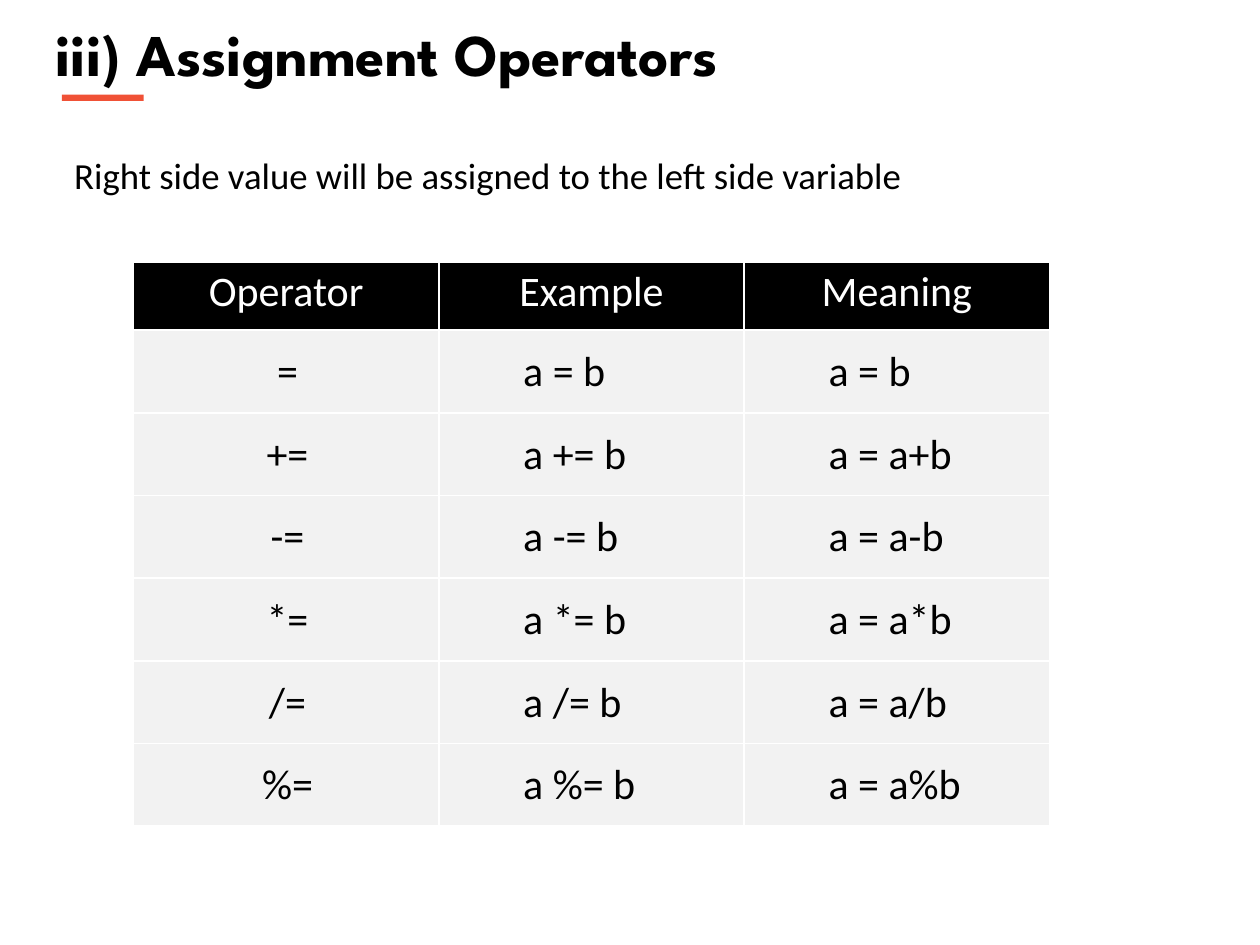
from dataclasses import dataclass

from lxml.etree import SubElement
from pptx import Presentation
from pptx.dml.color import RGBColor as Color
from pptx.enum.shapes import MSO_SHAPE as Shape
from pptx.enum.text import MSO_ANCHOR as Anchor, MSO_AUTO_SIZE as Fit, PP_ALIGN as Align
from pptx.oxml.ns import qn
from pptx.util import Inches, Pt


@dataclass(frozen=True)
class Theme:
    black: str = "000000"
    white: str = "FFFFFF"
    pale: str = "F2F2F2"
    accent: str = "F05136"
    head: str = "League Spartan"
    body: str = "Calibri"
    title: float = 33.8
    note: float = 21
    cell: float = 24
    rule: float = 1


THEME = Theme()

HEADS = ["Operator", "Example", "Meaning"]
ROWS = [
    ["=", "a = b", "a = b"],
    ["+=", "a += b", "a = a+b"],
    ["-=", "a -= b", "a = a-b"],
    ["*=", "a *= b", "a = a*b"],
    ["/=", "a /= b", "a = a/b"],
    ["%=", "a %= b", "a = a%b"],
]


def add_text(para, text, size, face=THEME.body, color=THEME.black, bold=False):
    run = para.add_run()
    run.text = text
    font = run.font
    font.name, font.size, font.bold = face, Pt(size), bold
    font.color.rgb = Color.from_string(color)


def set_pads(cell, pads):
    sides = [Inches(pad) for pad in pads]
    cell.margin_left, cell.margin_top, cell.margin_right, cell.margin_bottom = sides


def add_lines(cell):
    props = cell._tc.get_or_add_tcPr()
    for side in ("lnL", "lnR", "lnT", "lnB"):
        line = SubElement(props, qn(f"a:{side}"), w=str(Pt(THEME.rule)))
        fill = SubElement(line, qn("a:solidFill"))
        SubElement(fill, qn("a:srgbClr"), val=THEME.white)


def add_title(slide, box, text):
    title = slide.shapes.title
    title.left, title.top, title.width, title.height = map(Inches, box)
    frame = title.text_frame
    frame.word_wrap = True
    frame.auto_size = Fit.NONE
    frame.vertical_anchor = Anchor.TOP
    para = frame.paragraphs[0]
    para.alignment = Align.LEFT
    add_text(para, text, THEME.title, THEME.head, bold=True)


def add_bar(slide, box):
    bar = slide.shapes.add_shape(Shape.RECTANGLE, *map(Inches, box))
    bar.shadow.inherit = False
    bar.fill.solid()
    bar.fill.fore_color.rgb = Color.from_string(THEME.accent)
    bar.line.fill.background()


def add_note(slide, box, text):
    frame = slide.shapes.add_textbox(*map(Inches, box)).text_frame
    frame.word_wrap = True
    para = frame.paragraphs[0]
    para.line_spacing = 1.5
    add_text(para, text, THEME.note)


def fill_cell(cell, text, top, mid):
    add_lines(cell)
    cell.fill.solid()
    cell.fill.fore_color.rgb = Color.from_string(THEME.black if top else THEME.pale)
    cell.vertical_anchor = Anchor.TOP if top else Anchor.MIDDLE
    if top:
        set_pads(cell, (0.07, 0.04, 0.07, 0.04))
    else:
        set_pads(cell, (0.08 if mid else 0.67, 0.08, 0.06, 0.07))
    para = cell.text_frame.paragraphs[0]
    para.alignment = Align.CENTER if mid else Align.LEFT
    add_text(para, text, THEME.cell, color=THEME.white if top else THEME.black)


def add_grid(slide, box, heads, rows, first=0.54):
    data = [heads, *rows]
    grid = slide.shapes.add_table(len(data), len(heads), *map(Inches, box)).table
    grid.horz_banding = False
    for col in grid.columns:
        col.width = Inches(box[2] / len(heads))
    for i, row in enumerate(data):
        high = (box[3] - first) / len(rows) if i else first
        grid.rows[i].height = Inches(high)
        for j, text in enumerate(row):
            fill_cell(grid.cell(i, j), text, i == 0, i == 0 or j == 0)


def main():
    deck = Presentation()
    deck.slide_width, deck.slide_height = Inches(10), Inches(7.5)
    slide = deck.slides.add_slide(deck.slide_layouts[5])
    add_title(slide, (0.34, 0.09, 9.13, 0.67), "iii) Assignment Operators")
    add_bar(slide, (0.49, 0.75, 0.65, 0.05))
    add_note(slide, (0.49, 0.99, 8.68, 0.58),
             "Right side value will be assigned to the left side variable")
    add_grid(slide, (1.06, 2.08, 7.27, 4.48), HEADS, ROWS)
    deck.save("out.pptx")


if __name__ == "__main__":
    main()
